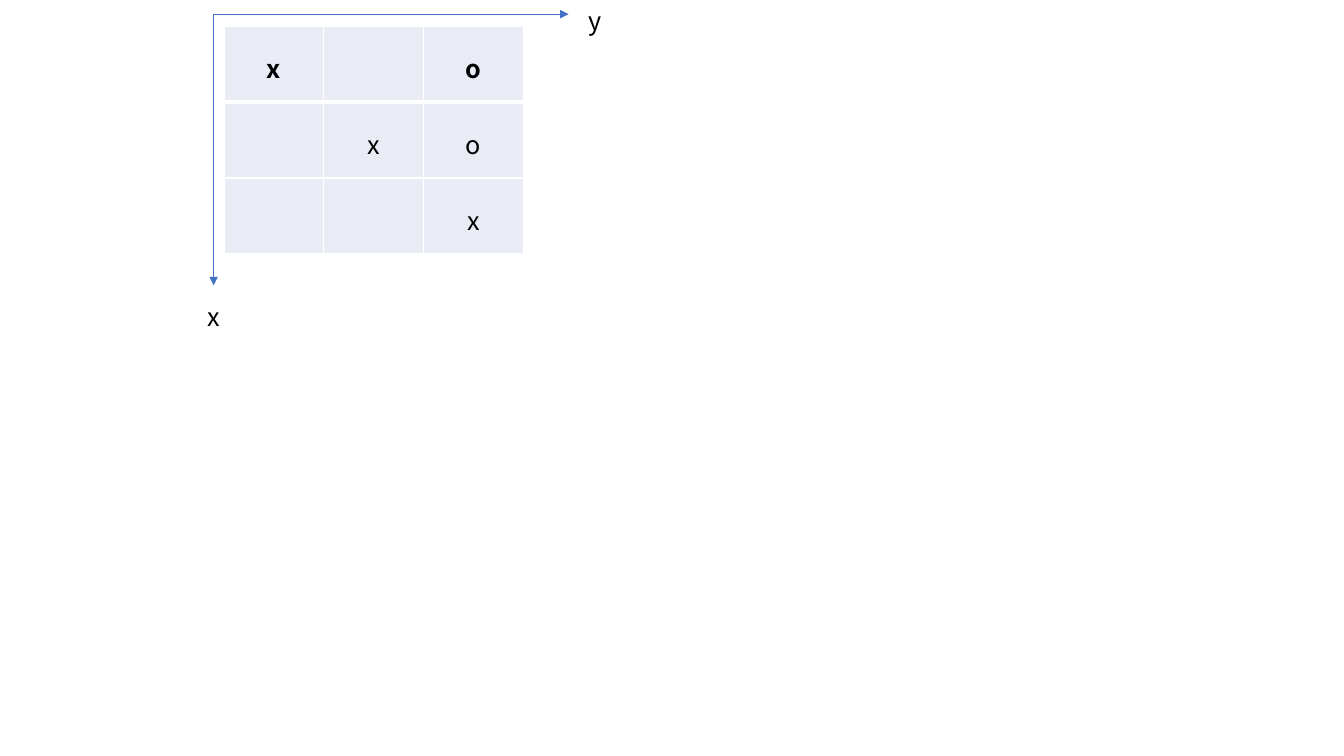
import pptx
import pptx.util
import pptx.dml.color
import pptx.enum.shapes
import pptx.enum.text
import pptx.oxml
import pptx.oxml.ns
import lxml.etree

Pt = pptx.util.Pt
RGB = pptx.dml.color.RGBColor
BLACK = RGB(0x00, 0x00, 0x00)
WHITE = RGB(0xFF, 0xFF, 0xFF)
BLUE = RGB(0x44, 0x72, 0xC4)
PALE = RGB(0xE9, 0xEB, 0xF5)

# Content
BOARD = [["x", "", "o"],
         ["", "x", "o"],
         ["", "", "x"]]
LABELS = [("x", (141.1, 211.7, 22.3, 29), False),
          ("y", (413.3, 0, 18.7, 29), True)]

# Layout, in points
SIZE = (960, 540)
LEFT, TOP = 160, 18.7
WIDE, HIGH = 71.3, 54.2
START = (152.6, 10.1)
ENDS = [(406.1, START[1]), (START[0], 203.8)]
FONT = {"name": "Noto Sans CJK SC", "size": Pt(18)}


def write(frame, text, bold=False):
    """Put one styled run in a text frame and return its paragraph."""
    para = frame.paragraphs[0]
    run = para.add_run()
    run.text = text
    for key, value in {**FONT, "bold": bold}.items():
        setattr(run.font, key, value)
    run.font.color.rgb = BLACK
    return para


def edge(cell, head):
    """Give a cell white borders, thicker below the first row."""
    props = cell._tc.get_or_add_tcPr()
    widths = {"lnL": 1, "lnR": 1, "lnT": 1, "lnB": 1}
    if head:
        widths["lnB"] = 3
    for tag, width in widths.items():
        line = lxml.etree.SubElement(
            props, pptx.oxml.ns.qn("a:" + tag), w=str(Pt(width)))
        fill = lxml.etree.SubElement(line, pptx.oxml.ns.qn("a:solidFill"))
        lxml.etree.SubElement(
            fill, pptx.oxml.ns.qn("a:srgbClr"), val=str(WHITE))


def board(slide):
    """Draw the game board as a table."""
    rows, cols = len(BOARD), len(BOARD[0])
    table = slide.shapes.add_table(
        rows, cols, Pt(LEFT), Pt(TOP), Pt(cols * WIDE), Pt(rows * HIGH)).table
    table.horz_banding = False
    for col in table.columns:
        col.width = Pt(WIDE)
    for r, marks in enumerate(BOARD):
        table.rows[r].height = Pt(HIGH)
        for c, mark in enumerate(marks):
            cell = table.cell(r, c)
            edge(cell, r == 0)
            cell.fill.solid()
            cell.fill.fore_color.rgb = PALE
            if mark:
                para = write(cell.text_frame, mark, r == 0)
                para.alignment = pptx.enum.text.PP_ALIGN.CENTER
                para.line_spacing = 1.5


def axis(slide, end):
    """Draw an arrow from the shared start to an end point."""
    line = slide.shapes.add_connector(
        pptx.enum.shapes.MSO_CONNECTOR.STRAIGHT,
        *(Pt(v) for v in START + end))
    line.line.color.rgb = BLUE
    line.line.width = Pt(0.5)
    lxml.etree.SubElement(line.line._get_or_add_ln(),
                          pptx.oxml.ns.qn("a:tailEnd"), type="triangle")
    lxml.etree.SubElement(line._element.spPr,
                          pptx.oxml.ns.qn("a:effectLst"))


def label(slide, text, place, wrap):
    """Add the name of an axis."""
    frame = slide.shapes.add_textbox(*map(Pt, place)).text_frame
    frame.word_wrap = wrap
    frame.auto_size = pptx.enum.text.MSO_AUTO_SIZE.SHAPE_TO_FIT_TEXT
    write(frame, text)


deck = pptx.Presentation()
deck.slide_width, deck.slide_height = map(Pt, SIZE)
slide = deck.slides.add_slide(deck.slide_layouts[6])
board(slide)
for end in ENDS:
    axis(slide, end)
for item in LABELS:
    label(slide, *item)
deck.save("out.pptx")
